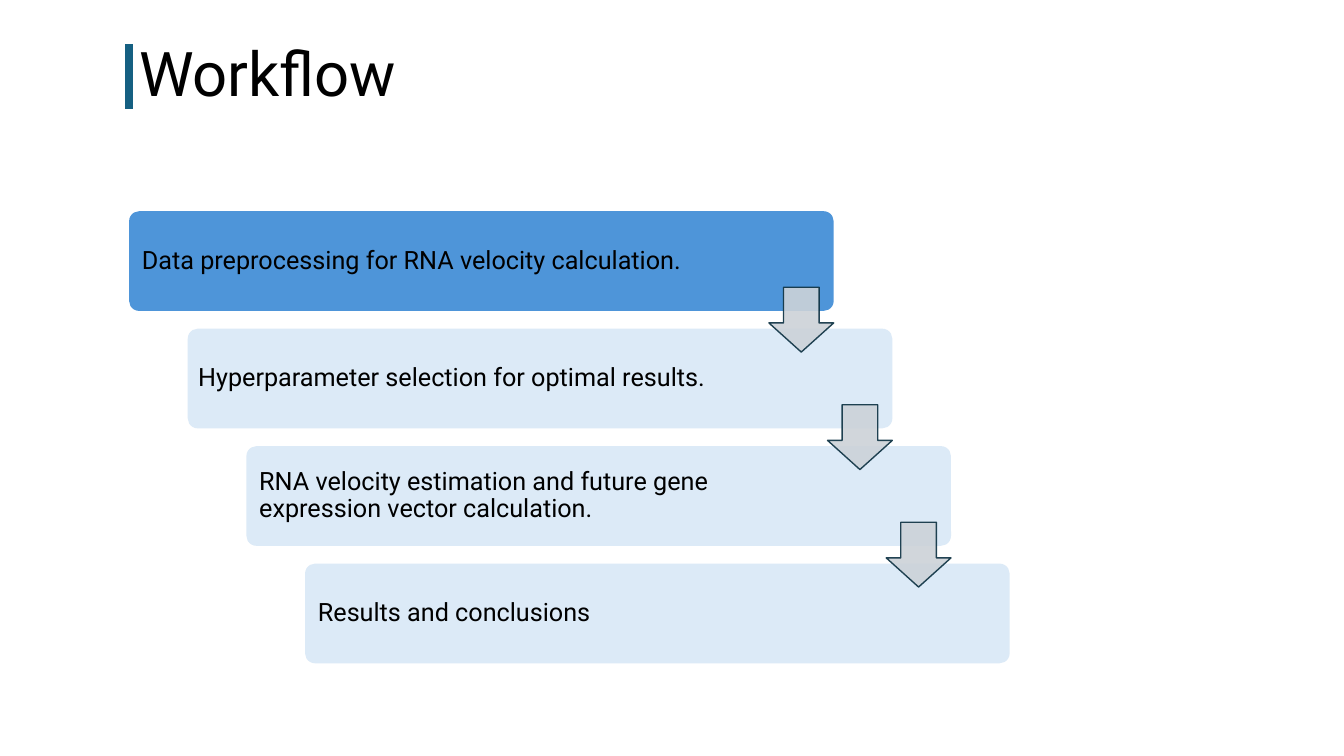
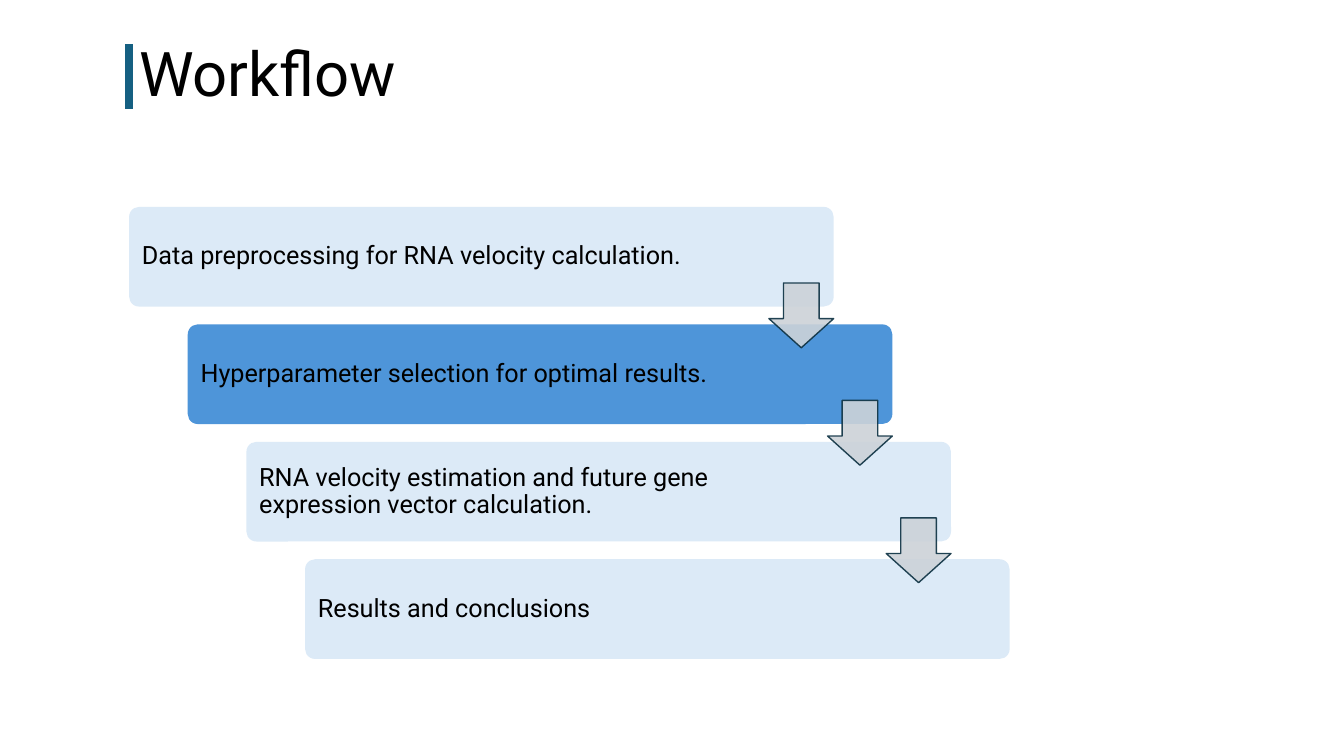
"""Build two workflow slides, each with one step of the staircase lit."""
from lxml import etree
from pptx import Presentation
from pptx.dml.color import RGBColor
from pptx.enum.shapes import MSO_CONNECTOR, MSO_SHAPE
from pptx.enum.text import MSO_ANCHOR, PP_ALIGN
from pptx.oxml.ns import qn
from pptx.util import Pt

BAR = MSO_SHAPE.ROUNDED_RECTANGLE
ARROW = MSO_SHAPE.DOWN_ARROW
LINE = MSO_CONNECTOR.STRAIGHT
MIDDLE = MSO_ANCHOR.MIDDLE
LEFT = PP_ALIGN.LEFT

FONT = "Roboto"
COLORS = {
    "text": "000000",
    "rule": "156082",
    "live": "4E95D9",
    "calm": "DCEAF7",
    "arrow": "CCD2D8",
    "edge": "0B3041",
}
EDGE = 92.2
BAR_W, BAR_H = 503.3, 71.2
STEP_X, STEP_Y = 41.9, 83.9
SIDE, DROP = 46.3, 54.3
STEPS = [
    "Data preprocessing for RNA velocity calculation.",
    "Hyperparameter selection for optimal results.",
    "RNA velocity estimation and future gene expression vector calculation.",
    "Results and conclusions",
]


def color(name):
    return RGBColor.from_string(COLORS[name])


class Deck:
    def __init__(self):
        self.file = Presentation()
        self.file.slide_width = Pt(960)
        self.file.slide_height = Pt(540)
        self.slide = None

    def page(self, title):
        self.slide = self.file.slides.add_slide(self.file.slide_layouts[6])
        box = self.slide.shapes.add_textbox(Pt(EDGE), Pt(13), Pt(749.5), Pt(82.8))
        self.label(box.text_frame, title, 44)
        self.rule(EDGE, 31.7, 77.8)

    def label(self, frame, text, size):
        frame.word_wrap = True
        frame.vertical_anchor = MIDDLE
        para = frame.paragraphs[0]
        para.text = text
        para.alignment = LEFT
        para.line_spacing = 0.9
        para.font.name = FONT
        para.font.size = Pt(size)
        para.font.color.rgb = color("text")

    def rule(self, left, top, end):
        rule = self.slide.shapes.add_connector(LINE, Pt(left), Pt(top), Pt(left), Pt(end))
        rule.line.color.rgb = color("rule")
        rule.line.width = Pt(6)
        etree.SubElement(rule._element.spPr, qn("a:effectLst"))

    def shape(self, kind, left, top, width, height, fill):
        shape = self.slide.shapes.add_shape(kind, Pt(left), Pt(top), Pt(width), Pt(height))
        shape.shadow.inherit = False
        shape.fill.solid()
        shape.fill.fore_color.rgb = color(fill)
        return shape

    def bar(self, left, top, text, fill, pad):
        bar = self.shape(BAR, left, top, BAR_W, BAR_H, fill)
        bar.adjustments[0] = 0.1
        bar.line.fill.background()
        frame = bar.text_frame
        frame.margin_left = Pt(pad)
        frame.margin_right = Pt(94)
        self.label(frame, text, 18)

    def arrow(self, left, top):
        arrow = self.shape(ARROW, left, top, SIDE, SIDE, "arrow")
        arrow.adjustments[0] = 0.55
        arrow.adjustments[1] = 0.45
        arrow.line.color.rgb = color("edge")
        arrow.line.width = Pt(1)
        for tint in list(arrow._element.spPr.iter(qn("a:srgbClr"))):
            etree.SubElement(tint, qn("a:alpha"), val="90000")

    def flow(self, top, live, pads):
        spots = [(EDGE + i * STEP_X, top + i * STEP_Y) for i in range(len(STEPS))]
        for i, ((left, y), text, pad) in enumerate(zip(spots, STEPS, pads)):
            self.bar(left, y, text, "live" if i == live else "calm", pad)
        for left, y in spots[:-1]:
            self.arrow(left + BAR_W - SIDE, y + DROP)


def main():
    deck = Deck()
    flows = [(150.9, 0, (7.2, 5.4, 7.2, 7.2)), (147.8, 1, (7.2,) * 4)]
    for top, live, pads in flows:
        deck.page("Workflow")
        deck.flow(top, live, pads)
    deck.file.save("out.pptx")


if __name__ == "__main__":
    main()
